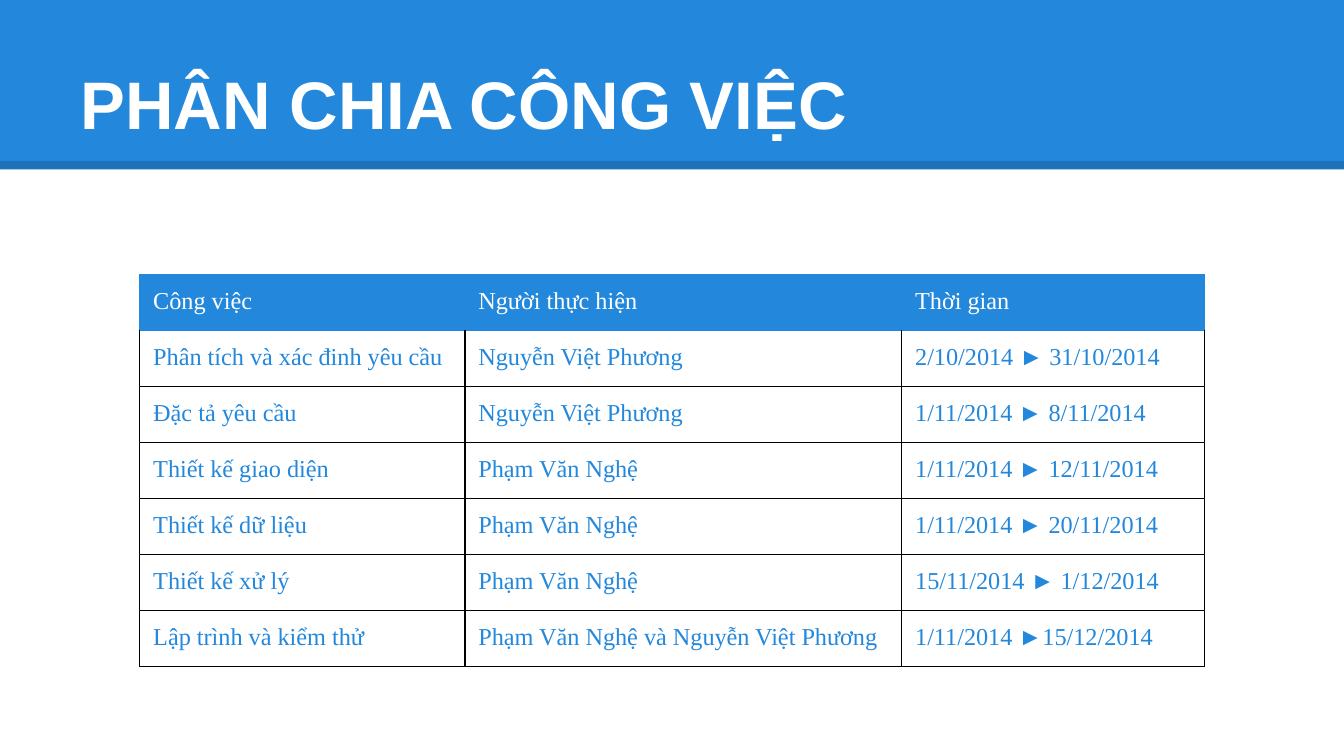
from lxml import etree
from pptx import Presentation
from pptx.dml.color import RGBColor
from pptx.enum import shapes, text
from pptx.oxml import ns
from pptx.util import Pt

COLORS = {"blue": "2388DB", "white": "FFFFFF", "black": "000000"}

HEADER = ["Công việc", "Người thực hiện", "Thời gian"]
TASKS = [
    ["Phân tích và xác đinh yêu cầu", "Nguyễn Việt Phương", "2/10/2014 ► 31/10/2014"],
    ["Đặc tả yêu cầu", "Nguyễn Việt Phương", "1/11/2014 ► 8/11/2014"],
    ["Thiết kế giao diện", "Phạm Văn Nghệ", "1/11/2014 ► 12/11/2014"],
    ["Thiết kế dữ liệu", "Phạm Văn Nghệ", "1/11/2014 ► 20/11/2014"],
    ["Thiết kế xử lý", "Phạm Văn Nghệ", "15/11/2014 ► 1/12/2014"],
    ["Lập trình và kiểm thử", "Phạm Văn Nghệ và Nguyễn Việt Phương",
     "1/11/2014 ►15/12/2014"],
]
COLUMN_WIDTHS = [174.2, 234, 162]


def color(name):
    return RGBColor.from_string(COLORS[name])


def write(frame, words, *, font, size, ink, bold=False, inset=7.2):
    """Put one left-aligned paragraph into a text frame."""
    frame.word_wrap = True
    frame.margin_left = frame.margin_right = Pt(inset)
    frame.margin_top = frame.margin_bottom = Pt(inset)
    paragraph = frame.paragraphs[0]
    paragraph.alignment = text.PP_ALIGN.LEFT
    run = paragraph.add_run()
    run.text = words
    run.font.name = font
    run.font.size = Pt(size)
    run.font.bold = bold
    run.font.color.rgb = color(ink)


def set_borders(cell, width=0.75, **sides):
    """Draw cell borders; sides maps L, R, T and B to colour names."""
    properties = cell._tc.get_or_add_tcPr()
    for index, side in enumerate("LRTB"):
        line = etree.Element(ns.qn(f"a:ln{side}"), w=str(Pt(width)))
        fill = etree.SubElement(line, ns.qn("a:solidFill"))
        etree.SubElement(fill, ns.qn("a:srgbClr"), val=COLORS[sides[side]])
        properties.insert(index, line)


def add_title_band(slide, left, top, width, height, title):
    # Blue band
    band = slide.shapes.add_shape(
        shapes.MSO_SHAPE.RECTANGLE, Pt(left), Pt(top), Pt(width), Pt(height))
    band.shadow.inherit = False
    band.fill.solid()
    band.fill.fore_color.rgb = color("blue")
    band.line.fill.background()

    # Translucent rule along the lower edge
    rule_top = Pt(top + height - 2.25)
    rule = slide.shapes.add_connector(
        shapes.MSO_CONNECTOR.STRAIGHT, Pt(left), rule_top, Pt(left + width), rule_top)
    rule.line.width = Pt(4.5)
    rule.line.color.rgb = color("black")
    shade = rule._element.spPr.find(".//" + ns.qn("a:srgbClr"))
    etree.SubElement(shade, ns.qn("a:alpha"), val="15000")
    etree.SubElement(rule._element.spPr, ns.qn("a:effectLst"))

    # Title, brought in front of the band
    heading = slide.shapes.title
    heading.left, heading.top = Pt(left + 36), Pt(top + 16.5)
    heading.width, heading.height = Pt(width - 72), Pt(67.5)
    frame = heading.text_frame
    frame.auto_size = text.MSO_AUTO_SIZE.NONE
    frame.vertical_anchor = text.MSO_ANCHOR.BOTTOM
    write(frame, title, font="Arial", size=36, ink="white", bold=True)
    rule._element.addnext(heading._element)


def add_task_table(slide, left, top, widths, row_height, rows):
    frame = slide.shapes.add_table(
        len(rows), len(widths), Pt(left), Pt(top),
        Pt(sum(widths)), Pt(row_height * len(rows)))
    table = frame.table
    table.first_row = table.horz_banding = False
    for column, width in zip(table.columns, widths):
        column.width = Pt(width)
    for row_index, words in enumerate(rows):
        table.rows[row_index].height = Pt(row_height)
        is_header = row_index == 0
        edge = "blue" if is_header else "black"
        top_edge = "blue" if row_index <= 1 else "black"
        for column_index, word in enumerate(words):
            cell = table.cell(row_index, column_index)
            if is_header:
                cell.fill.solid()
                cell.fill.fore_color.rgb = color("blue")
            else:
                cell.fill.background()
            set_borders(cell, L=edge, R=edge, T=top_edge, B=edge)
            cell.margin_left = cell.margin_right = Pt(7.2)
            cell.margin_top = cell.margin_bottom = Pt(7.2)
            write(cell.text_frame, word, font="Times New Roman", size=13,
                  ink="white" if is_header else "blue")


def main():
    presentation = Presentation()
    presentation.slide_width, presentation.slide_height = Pt(720), Pt(405)
    slide = presentation.slides.add_slide(
        presentation.slide_layouts.get_by_name("Title Only"))
    add_title_band(slide, 0, 0, 720, 90.75, "PHÂN CHIA CÔNG VIỆC")
    add_task_table(slide, 74.9, 147, COLUMN_WIDTHS, 30, [HEADER] + TASKS)
    presentation.save("out.pptx")


if __name__ == "__main__":
    main()
